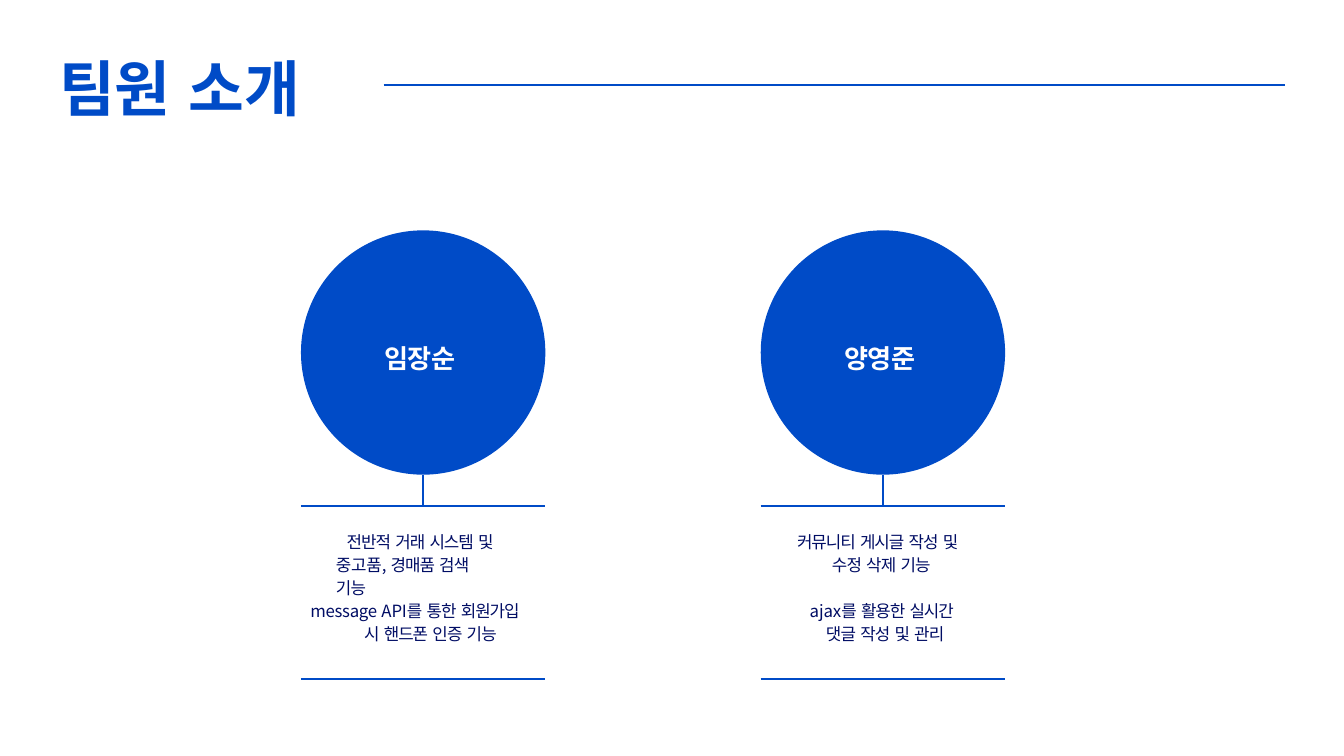
from dataclasses import dataclass

from lxml import etree
from pptx import Presentation
from pptx.dml.color import RGBColor
from pptx.enum.shapes import MSO_CONNECTOR, MSO_SHAPE
from pptx.enum.text import MSO_ANCHOR, MSO_AUTO_SIZE, PP_ALIGN
from pptx.oxml.ns import qn
from pptx.util import Pt

STRAIGHT = MSO_CONNECTOR.STRAIGHT
OVAL = MSO_SHAPE.OVAL
TOP, MIDDLE = MSO_ANCHOR.TOP, MSO_ANCHOR.MIDDLE
LEFT, CENTER = PP_ALIGN.LEFT, PP_ALIGN.CENTER
NO_AUTOFIT = MSO_AUTO_SIZE.NONE
TITLE_ONLY = 5


@dataclass(frozen=True)
class Theme:
    font: str = "Noto Sans CJK KR"
    blue: RGBColor = RGBColor(0x00, 0x4B, 0xC7)
    navy: RGBColor = RGBColor(0x00, 0x0D, 0x64)
    white: RGBColor = RGBColor(0xFF, 0xFF, 0xFF)
    title_size: float = 65
    name_size: float = 28
    body_size: float = 18
    title_gap: float = 4.2
    body_gap: float = 0.5
    line_width: float = 2.25


@dataclass(frozen=True)
class Box:
    left: float
    top: float
    width: float
    height: float

    def lengths(self):
        return Pt(self.left), Pt(self.top), Pt(self.width), Pt(self.height)


@dataclass(frozen=True)
class Task:
    left: float
    width: float
    margin: float
    indent: float
    runs: tuple


@dataclass(frozen=True)
class Member:
    name: tuple
    tasks: tuple


THEME = Theme()
TASK_TOPS = (319, 393)
MEMBERS = (
    Member(
        (("임장", -0.9), ("순", -0.1)),
        (
            Task(36.8, 180, 0.7, 11.5, (
                ("전반적 ", -1.1), ("거래 ", -0.9), ("시스템 ", -1.1), ("및 ", -0.8),
                ("중고품, ", -0.3), ("경매품 ", -1.1), ("검색 기능", -0.9))),
            Task(9.4, 236, 58.3, -57.6, (
                ("message ", -0.3), ("API를 ", -0.2), ("통한 ", -0.9),
                ("회원가입 ", -1.1), ("시 ", -0.8), ("핸드폰 ", -1.1),
                ("인증 기능", -0.9))),
        ),
    ),
    Member(
        (("양영", -0.9), ("준", -0.1)),
        (
            Task(37.4, 182.9, 38.9, -37.4, (
                ("커뮤니티 게시글 ", -1.1), ("작성 ", -0.9), ("및 ", -0.8),
                ("수정 삭제 기능", -0.9))),
            Task(51.1, 166, 18.8, -17.4, (
                ("ajax를 ", -0.1), ("활용한 실시간 ", -1.1), ("댓글 작성 ", -0.9),
                ("및 ", -0.8), ("관리", -0.9))),
        ),
    ),
)


def split_spaces(runs, gap):
    for text, spacing in runs:
        for index, word in enumerate(text.split(" ")):
            if index:
                yield " ", gap
            if word:
                yield word, spacing


def write_text(shape, runs, *, size, color, bold=False, align=LEFT, anchor=TOP, gap=0,
               line_spacing=1.0, margin=0, indent=0, insets=(0, 0, 0, 0)):
    frame = shape.text_frame
    frame.word_wrap = True
    frame.auto_size = NO_AUTOFIT
    frame.vertical_anchor = anchor
    frame.margin_left, frame.margin_top, frame.margin_right, frame.margin_bottom = map(Pt, insets)
    paragraph = frame.paragraphs[0]
    paragraph.alignment = align
    paragraph.line_spacing = line_spacing
    paragraph.space_before = Pt(0)
    properties = paragraph._p.get_or_add_pPr()
    properties.set("marL", str(Pt(margin)))
    properties.set("indent", str(Pt(indent)))
    for text, spacing in split_spaces(runs, gap):
        run = paragraph.add_run()
        run.text = text
        run.font.size = Pt(size)
        run.font.bold = bold
        run.font.color.rgb = color
        run.font.name = THEME.font
        run_properties = run._r.get_or_add_rPr()
        run_properties.set("spc", str(round(spacing * 100)))
        east_asian = etree.SubElement(run_properties, qn("a:ea"))
        east_asian.set("typeface", THEME.font)


def add_line(slide, start_x, start_y, end_x, end_y):
    line = slide.shapes.add_connector(STRAIGHT, Pt(start_x), Pt(start_y), Pt(end_x), Pt(end_y))
    line.line.color.rgb = THEME.blue
    line.line.width = Pt(THEME.line_width)
    etree.SubElement(line._element.spPr, qn("a:effectLst"))


def add_header(slide, box):
    title = slide.shapes.title
    title.left, title.top, title.width, title.height = Box(box.left, box.top, 273, box.height).lengths()
    write_text(title, (("팀원 소개", -0.1),), size=THEME.title_size, color=THEME.blue,
               bold=True, gap=THEME.title_gap, insets=(0.7, 1.7, 0, 0))
    rule_y = box.top + 38.2
    add_line(slide, box.left + 348.5, rule_y, box.left + box.width, rule_y)


def add_member(slide, box, member):
    circle = slide.shapes.add_shape(OVAL, *Box(box.left, box.top, box.width, box.width).lengths())
    circle.shadow.inherit = False
    circle.fill.solid()
    circle.fill.fore_color.rgb = THEME.blue
    circle.line.fill.background()
    write_text(circle, member.name, size=THEME.name_size, color=THEME.white, bold=True,
               align=CENTER, anchor=MIDDLE, insets=(0, 12, 6, 0))

    center = box.left + box.width / 2
    right = box.left + box.width
    bottom = box.top + box.height
    rule_y = box.top + 295.4
    add_line(slide, center, box.top + box.width, center, rule_y)
    for y in (rule_y, bottom):
        add_line(slide, box.left, y, right, y)

    for task, top in zip(member.tasks, TASK_TOPS):
        area = Box(box.left + task.left, box.top + top, task.width, 52)
        text_box = slide.shapes.add_textbox(*area.lengths())
        write_text(text_box, task.runs, size=THEME.body_size, color=THEME.navy,
                   gap=THEME.body_gap, line_spacing=1.15, margin=task.margin,
                   indent=task.indent, insets=(0, 0.7, 0, 0))


def main():
    presentation = Presentation()
    presentation.slide_width, presentation.slide_height = Pt(1440), Pt(810)
    slide = presentation.slides.add_slide(presentation.slide_layouts[TITLE_ONLY])
    add_header(slide, Box(62.6, 53.3, 1314, 80))
    for index, member in enumerate(MEMBERS):
        add_member(slide, Box(322.5 + index * 492.6, 246.8, 261.8, 481.1), member)
    presentation.save("out.pptx")


if __name__ == "__main__":
    main()
